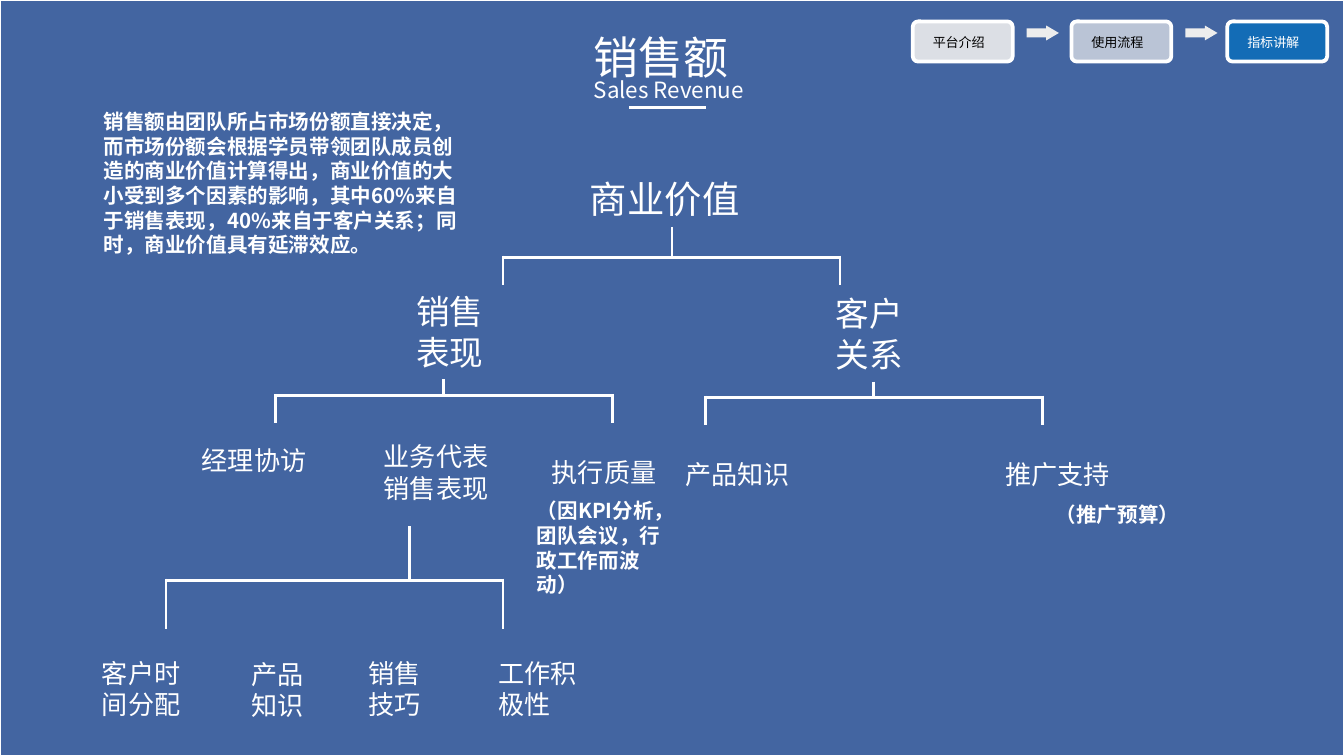
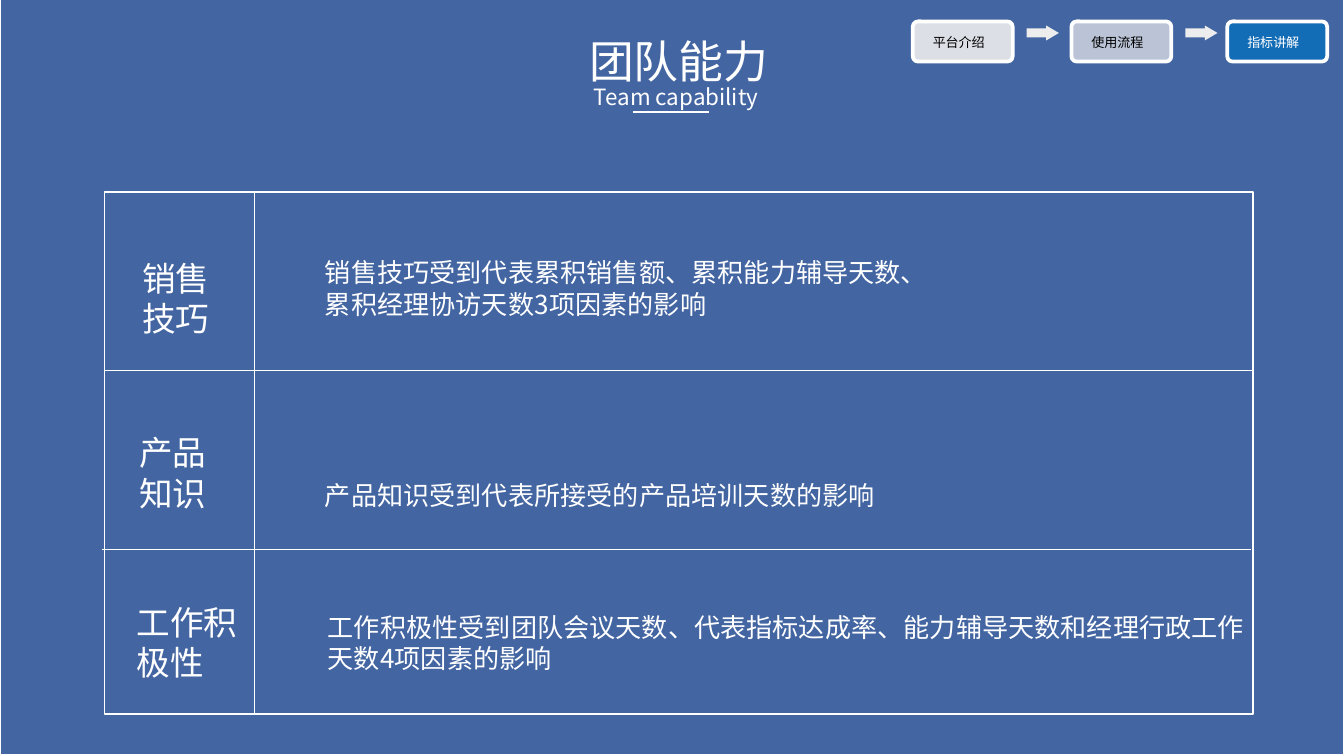
"""Build two slides on sales revenue drivers and team capability."""
from lxml import etree
from pptx import Presentation
from pptx.dml.color import RGBColor
from pptx.enum import shapes, text
from pptx.oxml import ns
from pptx.util import Pt

WHITE = RGBColor(0xFF, 0xFF, 0xFF)
BLACK = RGBColor(0, 0, 0)
NAVY = RGBColor(0x2F, 0x55, 0x97)
BLUE = RGBColor(0, 0x70, 0xC0)
GRAY = RGBColor(0xED, 0xED, 0xED)
FONT = "Noto Sans CJK SC"
LINE_HEIGHT = 1.2
WIDTH, HEIGHT = 720, 405
WIDE_INSETS, TITLE_INSETS = (7.2, 3.6), (5.04, 2.88)

STEPS = [
    ("平台介绍", 489, GRAY, 90, BLACK),
    ("使用流程", 574, GRAY, 70, BLACK),
    ("指标讲解", 657.5, BLUE, 70, WHITE),
]
STEP_ARROWS = [550, 635]

REVENUE = {
    "top": 0,
    "title": ("销售额", 313, 13),
    "subtitle": ("Sales Revenue", 313, 38),
    "rule": (337, 57.6),
}
CAPABILITY = {
    "top": -0.5,
    "title": ("团队能力", 310.5, 15),
    "subtitle": ("Team capability", 313, 41.5),
    "rule": (339, 60),
}

INTRODUCTION = (
    "销售额由团队所占市场份额直接决定，而市场份额会根据学员带领团队成员创造的商业价值计算得出，"
    "商业价值的大小受到多个因素的影响，其中60%来自于销售表现，40%来自于客户关系；"
    "同时，商业价值具有延滞效应。"
)
FACTORS = [
    ("销售表现", 216, 152.5, 67, 51, 18, False),
    ("客户关系", 440.5, 153.5, 67, 51, 18, False),
    ("推广支持", 531.5, 242, 88.5, 24.5, 14, False),
    ("（推广预算）", 558.5, 265.5, 123, 21, 11, True),
    ("产品知识", 360, 242, 88.5, 24.5, 14, False),
    ("执行质量", 288.5, 241, 79, 24.5, 14, False),
    ("（因KPI分析，团队会议，行政工作而波动）", 280.5, 263.5, 87, 47.5, 11, True),
    ("业务代表销售表现", 198.5, 232.5, 79, 41, 14, False),
    ("经理协访", 101, 234.5, 79, 24.5, 14, False),
    ("客户时间分配", 47.5, 348.5, 60, 41, 14, False),
    ("产品知识", 127.5, 349, 47, 41, 14, False),
    ("销售技巧", 190.5, 348.5, 47.5, 41, 14, False),
    ("工作积极性", 260, 348.5, 64, 41, 14, False),
]
BRACKET_WIDTH = 180.5
BRACKETS = [
    (269.5, 360, 121.5, 138, 152.5),
    (147.5, 237.5, 203, 212, 226.5),
    (378, 468, 204.5, 213, 227.5),
    (89, 219.5, 282, 311, 337),
]

FRAME = (56, 103, 615.5, 279.5)
DIVIDERS = [
    (56, 198.5, 671.5, 198.5),
    (54.5, 294.5, 670, 294.5),
    (136.5, 103, 136.5, 382.5),
]
ABILITIES = [
    ("销售技巧", 69, 134.5, 65,
     "销售技巧受到代表累积销售额、累积能力辅导天数、累积经理协访天数3项因素的影响", 167, 134, 341.5, 41),
    ("产品知识", 67.5, 228, 62,
     "产品知识受到代表所接受的产品培训天数的影响", 167, 253.5, 508.5, 24.5),
    ("工作积极性", 66, 319, 70.5,
     "工作积极性受到团队会议天数、代表指标达成率、能力辅导天数和经理行政工作天数4项因素的影响",
     168.5, 324, 508.5, 41),
]


def add_box(slide, kind, box, fill=None, opacity=100, line=0):
    shape = slide.shapes.add_shape(kind, *map(Pt, box))
    shape.shadow.inherit = False
    if fill is None:
        shape.fill.background()
    else:
        shape.fill.solid()
        shape.fill.fore_color.rgb = fill
        if opacity < 100:
            color = shape.fill._xPr.find(ns.qn("a:solidFill"))[0]
            etree.SubElement(color, ns.qn("a:alpha"), val=str(opacity * 1000))
    if line:
        shape.line.color.rgb = WHITE
        shape.line.width = Pt(line)
    else:
        shape.line.fill.background()
    return shape


def add_line(slide, ends, width=1.5):
    line = slide.shapes.add_connector(shapes.MSO_CONNECTOR.STRAIGHT, *map(Pt, ends))
    line.line.color.rgb = WHITE
    line.line.width = Pt(width)
    etree.SubElement(line._element.spPr, ns.qn("a:effectLst"))


def add_text(slide, words, box, size, bold=False, color=WHITE, insets=WIDE_INSETS, before=0):
    frame = slide.shapes.add_textbox(*map(Pt, box)).text_frame
    frame.word_wrap = True
    frame.auto_size = text.MSO_AUTO_SIZE.SHAPE_TO_FIT_TEXT
    frame.margin_left = frame.margin_right = Pt(insets[0])
    frame.margin_top = frame.margin_bottom = Pt(insets[1])
    frame.text = words
    paragraph = frame.paragraphs[0]
    paragraph.line_spacing = Pt(size * LINE_HEIGHT)
    if before:
        paragraph.space_before = Pt(before)
    for run in paragraph.runs:
        run.font.name = FONT
        run.font.size = Pt(size)
        run.font.bold = bold
        run.font.color.rgb = color
        etree.SubElement(run._r.get_or_add_rPr(), ns.qn("a:ea"), typeface=FONT)


def add_base(presentation, heading):
    slide = presentation.slides.add_slide(presentation.slide_layouts[6])
    kinds = shapes.MSO_SHAPE
    add_box(slide, kinds.RECTANGLE, (0, heading["top"], WIDTH, HEIGHT), NAVY, 90, 1)
    for words, left, fill, opacity, color in STEPS:
        button = add_box(slide, kinds.ROUNDED_RECTANGLE, (left, 11.5, 53.5, 21.5), fill, opacity, 2)
        button.adjustments[0] = 0.13
        add_text(slide, words, (left + 3.6, 15, 46, 10), 7, color=color)
    for left in STEP_ARROWS:
        arrow = add_box(slide, kinds.RIGHT_ARROW, (left, 13.7, 17.3, 8), GRAY)
        arrow.adjustments[0], arrow.adjustments[1] = 0.6, 0.85
    for part, height, size in (("title", 34.5, 24), ("subtitle", 20, 12)):
        words, left, top = heading[part]
        add_text(slide, words, (left, top, 178.5, height), size, insets=TITLE_INSETS)
    left, top = heading["rule"]
    add_line(slide, (left, top, left + 41, top))
    return slide


def add_bracket(slide, left, stem, top, bar, foot):
    right = left + BRACKET_WIDTH
    add_line(slide, (left, bar, right, bar))
    add_line(slide, (stem, top, stem, bar - 1))
    for leg in (left, right):
        add_line(slide, (leg, bar - 1, leg, foot))


def add_revenue_slide(presentation):
    slide = add_base(presentation, REVENUE)
    add_text(slide, "商业价值", (311, 91.5, 178.5, 29.5), 20, insets=TITLE_INSETS)
    add_text(slide, INTRODUCTION, (50.5, 55.5, 201.5, 85.5), 11, True,
             insets=TITLE_INSETS, before=4.5)
    for bracket in BRACKETS:
        add_bracket(slide, *bracket)
    for words, left, top, width, height, size, bold in FACTORS:
        add_text(slide, words, (left, top, width, height), size, bold)


def add_capability_slide(presentation):
    slide = add_base(presentation, CAPABILITY)
    add_box(slide, shapes.MSO_SHAPE.RECTANGLE, FRAME, line=1)
    for divider in DIVIDERS:
        add_line(slide, divider, 0.5)
    for name, left, top, width, detail, *detail_box in ABILITIES:
        add_text(slide, name, (left, top, width, 51), 18)
        add_text(slide, detail, detail_box, 14)


presentation = Presentation()
presentation.slide_width, presentation.slide_height = Pt(WIDTH), Pt(HEIGHT)
add_revenue_slide(presentation)
add_capability_slide(presentation)
presentation.save("out.pptx")
